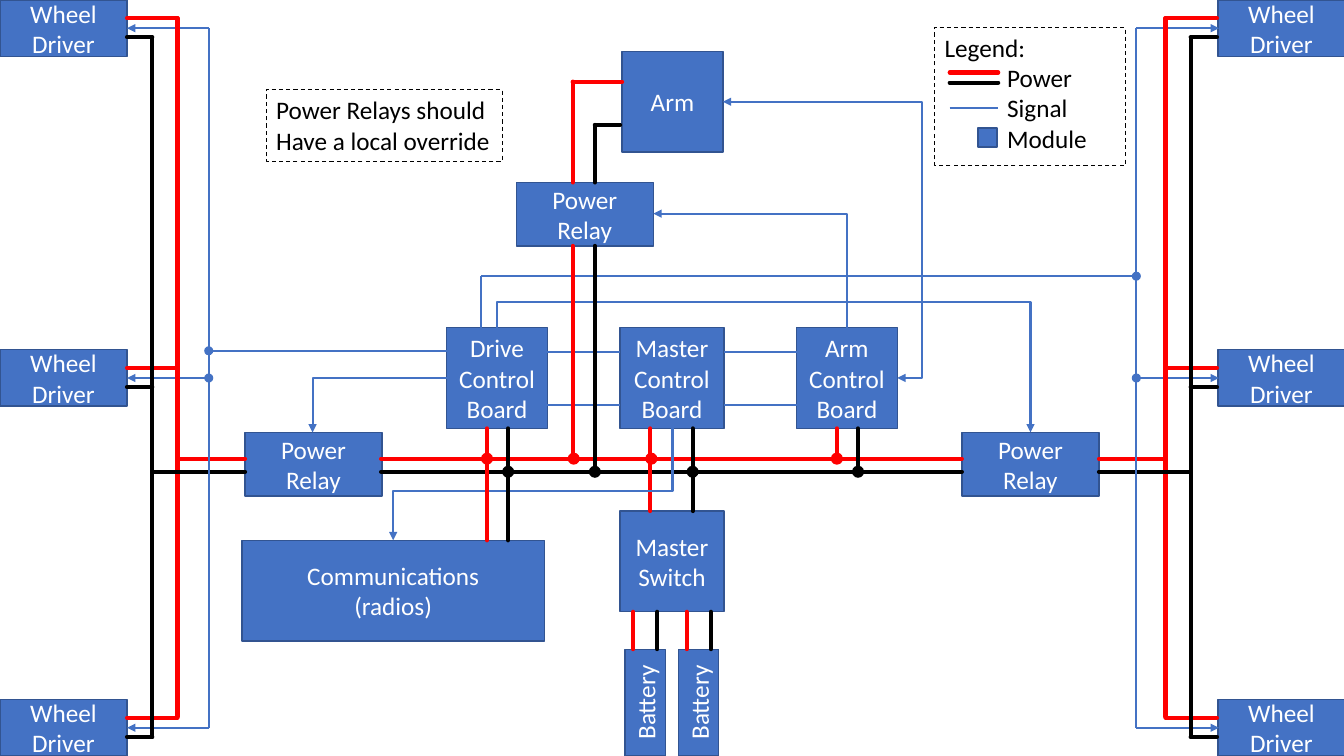
from typing import NamedTuple

from lxml.etree import SubElement
from pptx import Presentation
from pptx.dml.color import RGBColor
from pptx.enum.dml import MSO_LINE
from pptx.enum.shapes import MSO_CONNECTOR, MSO_SHAPE
from pptx.enum.text import MSO_ANCHOR, PP_ALIGN
from pptx.oxml.ns import qn
from pptx.util import Inches, Pt

RED = RGBColor(0xFF, 0x00, 0x00)
BLACK = RGBColor(0x00, 0x00, 0x00)
WHITE = RGBColor(0xFF, 0xFF, 0xFF)
BLUE = RGBColor(0x44, 0x72, 0xC4)
NAVY = RGBColor(0x32, 0x54, 0x91)

COLUMNS, ROWS = 133.3, 75
prs = Presentation()
prs.slide_width, prs.slide_height = Inches(13.33), Inches(7.5)
s = prs.slides.add_slide(prs.slide_layouts[6])


class Box(NamedTuple):
    """A rectangle in grid columns and rows, with its paragraphs."""
    x: float
    y: float
    w: float
    h: float
    lines: tuple = ()
    turn: int = 0


class Wire(NamedTuple):
    """A straight line between two grid points."""
    x1: float
    y1: float
    x2: float
    y2: float
    color: RGBColor = BLUE
    arrow: bool = False


class Elbow(NamedTuple):
    """A bent signal arrow: end points, preset, turn, flips and bend."""
    x1: float
    y1: float
    x2: float
    y2: float
    preset: str
    turn: int = 0
    flips: str = ""
    bend: float | None = None
    both: bool = False


class Dot(NamedTuple):
    """A junction centred on a grid point."""
    x: float
    y: float
    color: RGBColor = BLUE


class Side(NamedTuple):
    """Columns of the wheel drivers and buses on one side."""
    wheel: float
    edge: float
    arrow: float
    power: float
    ground: float
    signal: float
    relay: float


def col(n: float) -> int:
    """Turn grid columns into a length."""
    return round(prs.slide_width * n / COLUMNS)


def row(n: float) -> int:
    """Turn grid rows into a length."""
    return round(prs.slide_height * n / ROWS)


def add_text(sp, lines: tuple, color: RGBColor, align: PP_ALIGN, indent: float = 0) -> None:
    """Write the paragraphs; those after the first are indented."""
    tf = sp.text_frame
    tf.word_wrap = True
    for i, line in enumerate(lines):
        p = tf.paragraphs[0] if i == 0 else tf.add_paragraph()
        p.alignment = align
        if i and indent:
            p._p.get_or_add_pPr().set("marL", str(col(indent)))
        r = p.add_run()
        r.text = line
        r.font.name, r.font.size = "Calibri", Pt(18)
        r.font.color.rgb = color


def add_module(b: Box) -> None:
    """Draw a filled module with centred text."""
    sp = s.shapes.add_shape(MSO_SHAPE.RECTANGLE, col(b.x), row(b.y), col(b.w), row(b.h))
    sp.shadow.inherit = False
    sp.rotation = b.turn
    sp.fill.solid()
    sp.fill.fore_color.rgb = BLUE
    sp.line.color.rgb, sp.line.width = NAVY, Pt(1)
    sp.text_frame.vertical_anchor = MSO_ANCHOR.MIDDLE
    add_text(sp, b.lines, WHITE, PP_ALIGN.CENTER)


def add_note(b: Box, indent: float = 0) -> None:
    """Draw a dashed box with black text."""
    sp = s.shapes.add_shape(MSO_SHAPE.RECTANGLE, col(b.x), row(b.y), col(b.w), row(b.h))
    sp.shadow.inherit = False
    sp.fill.background()
    sp.line.color.rgb, sp.line.width = BLACK, Pt(0.75)
    sp.line.dash_style = MSO_LINE.DASH
    sp.text_frame.vertical_anchor = MSO_ANCHOR.TOP
    add_text(sp, b.lines, BLACK, PP_ALIGN.LEFT, indent)


def style_line(c, color: RGBColor, ends: tuple = ()) -> None:
    """Colour a connector, drop its shadow and add arrowheads."""
    c.line.color.rgb = color
    c.line.width = Pt(1.5 if color == BLUE else 3)
    ln = c.line._get_or_add_ln()
    if color != BLUE:
        ln.set("cap", "rnd")
    for end in ends:
        SubElement(ln, qn(f"a:{end}")).set("type", "triangle")
    SubElement(c._element.spPr, qn("a:effectLst"))


def add_wire(w: Wire) -> None:
    """Draw a straight wire."""
    c = s.shapes.add_connector(MSO_CONNECTOR.STRAIGHT, col(w.x1), row(w.y1), col(w.x2), row(w.y2))
    style_line(c, w.color, ("tailEnd",) if w.arrow else ())


def add_elbow(e: Elbow) -> None:
    """Draw a bent arrow around the midpoint of its ends."""
    w, h = abs(e.x2 - e.x1), abs(e.y2 - e.y1)
    if e.turn % 180:
        w, h = h, w
    x, y = (e.x1 + e.x2 - w) / 2, (e.y1 + e.y2 - h) / 2
    c = s.shapes.add_connector(MSO_CONNECTOR.ELBOW, col(x), row(y), col(x + w), row(y + h))
    xfrm, geom = c._element.spPr.xfrm, c._element.spPr.prstGeom
    xfrm.set("rot", str(e.turn * 60000))
    for flip in e.flips:
        xfrm.set(f"flip{flip.upper()}", "1")
    geom.set("prst", e.preset)
    if e.bend is not None:
        gd = SubElement(geom.get_or_add_avLst(), qn("a:gd"))
        gd.set("name", "adj1")
        gd.set("fmla", f"val {round(e.bend * 100000)}")
    style_line(c, BLUE, ("headEnd", "tailEnd") if e.both else ("tailEnd",))


def add_dot(d: Dot) -> None:
    """Draw a junction dot."""
    size = 0.9 if d.color == BLUE else 1.2
    sp = s.shapes.add_shape(MSO_SHAPE.OVAL, col(d.x - size / 2), row(d.y - size / 2), col(size), row(size))
    sp.shadow.inherit = False
    sp.fill.solid()
    sp.fill.fore_color.rgb = d.color
    sp.line.fill.background()


def add_side(side: Side) -> None:
    """Draw three wheel drivers with their power and signal buses."""
    for top in (0, 34.7, 69.4):
        add_module(Box(side.wheel, top, 12.6, 5.6, ("Wheel Driver",)))
        add_wire(Wire(side.edge, top + 1.8, side.power, top + 1.8, RED))
        add_wire(Wire(side.edge, top + 3.7, side.ground, top + 3.7, BLACK))
        add_wire(Wire(side.signal, top + 2.8, side.arrow, top + 2.8, BLUE, True))
    add_wire(Wire(side.ground, 3.8, side.ground, 73.1, BLACK))
    add_wire(Wire(side.power, 1.8, side.power, 71.1, RED))
    add_wire(Wire(side.power, 45.5, side.relay, 45.5, RED))
    add_wire(Wire(side.ground, 46.8, side.relay, 46.8, BLACK))
    add_wire(Wire(side.signal, 2.8, side.signal, 72.2))


MODULES = [
    Box(61.5, 50.7, 10.3, 10, ("Master Switch",)),
    Box(61.5, 32.5, 10.3, 10, ("Master Control Board",)),
    Box(79, 32.5, 10, 10, ("Arm Control Board",)),
    Box(44.3, 32.5, 10, 10, ("Drive Control Board",)),
    *(Box(x, y, 13.6, 6.3, ("Power Relay",)) for x, y in ((95.4, 42.9), (24.3, 42.9), (51.2, 18.1))),
    Box(61.7, 5.1, 10, 10, ("Arm",)),
    Box(24, 53.6, 30, 10, ("Communications", "(radios)")),
    *(Box(x, 67.7, 10.6, 4, ("Battery",), 270) for x in (58.7, 64)),
]
SIDES = [Side(0, 12.6, 12.6, 17.6, 15.1, 20.7, 24.3),
         Side(120.8, 120.7, 120.9, 115.6, 118.1, 112.7, 109)]
BUSES = [Wire(37.8, 45.5, 95.4, 45.5, RED), Wire(37.8, 46.8, 95.4, 46.8, BLACK)]
BATTERY_LEADS = [Wire(x, 64.4, x, 60.7, color) for x, color in
                 ((62.8, RED), (65.2, BLACK), (68.1, RED), (70.5, BLACK))]
BOARD_FEEDS = [Wire(64.5, 50.7, 64.5, 42.5, RED), Wire(68.7, 50.7, 68.7, 42.5, BLACK),
               Wire(83, 42.5, 83, 45.5, RED), Wire(85.1, 46.8, 85.1, 42.5, BLACK)]
SIGNALS = [Wire(x, y, x + 7.2, y) for x in (54.3, 71.8) for y in (34.9, 40.2)] + [
    Wire(20.7, 34.8, 44.3, 34.8), Wire(112.7, 27.4, 47.7, 27.4), Wire(47.7, 27.4, 47.7, 32.5)]
ELBOWS = [
    Elbow(44.3, 37.5, 31, 42.9, "bentConnector2", 180, "v"),
    Elbow(49.3, 32.5, 102.2, 42.9, "bentConnector3", 270, "h", -0.24),
    Elbow(89, 37.5, 71.7, 10.1, "bentConnector3", 0, "hv", -0.14, True),
    Elbow(84, 32.5, 64.8, 21.2, "bentConnector2", 270, "v"),
    Elbow(66.7, 42.5, 39, 53.6, "bentConnector3", 90, "", 0.56),
]
ARM_AND_RADIO_FEEDS = [
    Wire(59, 46.8, 59, 24.4, BLACK), Wire(56.8, 24.4, 56.8, 45.5, RED),
    Wire(56.8, 8.1, 61.7, 8.1, RED), Wire(59, 12.4, 61.5, 12.4, BLACK),
    Wire(59, 18.1, 59, 12.4, BLACK), Wire(56.8, 8.1, 56.8, 18.1, RED),
    Wire(50.4, 42.5, 50.4, 53.6, BLACK), Wire(48.3, 53.6, 48.3, 42.5, RED)]
DOTS = [*(Dot(x, 45.5, RED) for x in (48.3, 56.9, 64.6, 83)),
        *(Dot(x, 46.8, BLACK) for x in (50.4, 59, 68.7, 85.1)),
        Dot(112.7, 27.4), Dot(20.7, 34.8), Dot(20.7, 37.5), Dot(112.7, 37.5)]
LEGEND_KEYS = [Wire(94.2, y, 99, y, color) for y, color in ((7.2, RED), (8.2, BLACK), (10.7, BLUE))]

for module in MODULES:
    add_module(module)
for wire in BUSES + BATTERY_LEADS + BOARD_FEEDS:
    add_wire(wire)
for side in SIDES:
    add_side(side)
for wire in SIGNALS:
    add_wire(wire)
for elbow in ELBOWS:
    add_elbow(elbow)
for wire in ARM_AND_RADIO_FEEDS:
    add_wire(wire)
for dot in DOTS:
    add_dot(dot)

add_note(Box(26.4, 8.9, 23.4, 7.1, ("Power Relays should Have a local override",)))
add_note(Box(92.7, 2.7, 18.9, 13.7, ("Legend:", "Power", "Signal", "Module")), 6.2)
for key in LEGEND_KEYS:
    add_wire(key)
add_module(Box(97, 12.7, 1.9, 1.9))

prs.save("out.pptx")
